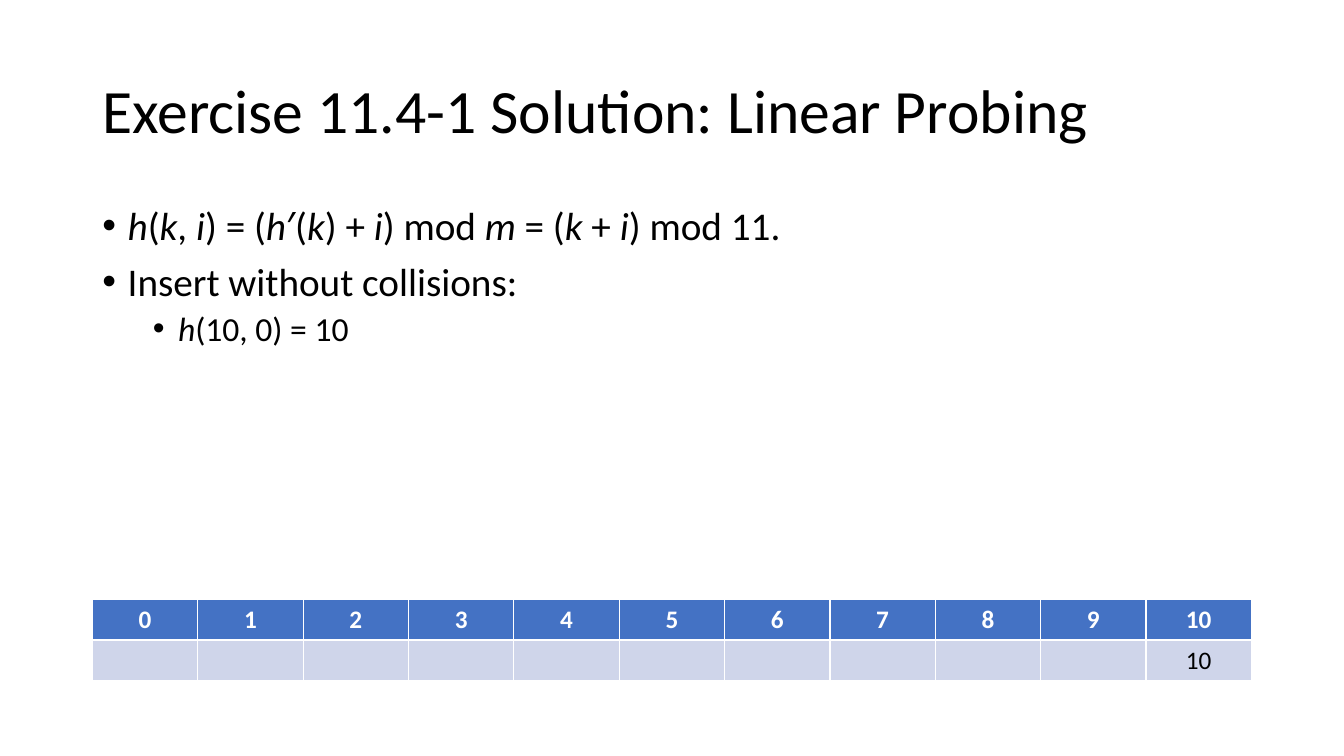
from lxml import etree
from pptx import Presentation
from pptx.dml.color import RGBColor as Rgb
from pptx.enum.text import MSO_ANCHOR as Anchor, MSO_AUTO_SIZE as Fit, PP_ALIGN as Align
from pptx.oxml.ns import qn
from pptx.util import Pt

LEFT, WIDTH = 66, 828
SLOTS = 11


def color(code):
    return Rgb.from_string(code)


def write(para, text, size=18, ink="000000", bold=False, font="Calibri",
          align=Align.LEFT, line=None, before=0):
    """Fill a paragraph; parts between asterisks become italic."""
    para.alignment = align
    para.line_spacing = line
    para.space_before = Pt(before)
    for i, part in enumerate(text.split("*")):
        if part:
            run = para.add_run()
            run.text = part
            style = run.font
            style.name, style.size = font, Pt(size)
            style.bold, style.italic = bold, i % 2 == 1
            style.color.rgb = color(ink)


def bullet(para, left, hang=18):
    """Add a round bullet with a hanging indent."""
    props = para._p.get_or_add_pPr()
    props.set("marL", str(Pt(left)))
    props.set("indent", str(-Pt(hang)))
    etree.SubElement(props, qn("a:buFont")).set("typeface", "Arial")
    etree.SubElement(props, qn("a:buChar")).set("char", "•")


class Deck:
    head, cell = "4472C4", "CFD5EA"
    sizes, gaps = (28, 24), (10, 5)

    def __init__(self):
        self.show = Presentation()
        self.show.slide_width, self.show.slide_height = Pt(960), Pt(540)
        self.slide = self.show.slides.add_slide(self.show.slide_layouts[1])

    def place(self, holder, top, height, anchor):
        """Move a placeholder and return its text frame."""
        holder.left, holder.top = Pt(LEFT), Pt(top)
        holder.width, holder.height = Pt(WIDTH), Pt(height)
        frame = holder.text_frame
        frame.word_wrap, frame.auto_size = True, Fit.NONE
        frame.vertical_anchor = anchor
        return frame

    def title(self, text):
        frame = self.place(self.slide.shapes.title, 28.75, 104.4, Anchor.MIDDLE)
        write(frame.paragraphs[0], text, size=44, line=0.9)

    def points(self, items):
        """Write the list from pairs of level and text."""
        frame = self.place(self.slide.placeholders[1], 143.75, 342.6, Anchor.TOP)
        for i, (level, text) in enumerate(items):
            para = frame.add_paragraph() if i else frame.paragraphs[0]
            para.level = level
            write(para, text, size=self.sizes[level], line=0.9,
                  before=self.gaps[level])
            bullet(para, 18 + 36 * level)

    def table(self, rows, top, height):
        """Draw a header row and plain rows in equal columns."""
        grid = self.slide.shapes.add_table(
            len(rows), len(rows[0]), Pt(LEFT), Pt(top),
            Pt(WIDTH), Pt(height * len(rows))).table
        for r, row in enumerate(rows):
            for c, text in enumerate(row):
                box = grid.cell(r, c)
                box.fill.solid()
                box.fill.fore_color.rgb = color(self.cell if r else self.head)
                write(box.text_frame.paragraphs[0], text, bold=r == 0,
                      ink="000000" if r else "FFFFFF", align=Align.CENTER)


def main():
    deck = Deck()
    deck.title("Exercise 11.4-1 Solution: Linear Probing")
    deck.points([
        (0, "*h*(*k*, *i*) = (*h*′(*k*) + *i*) mod *m* = (*k* + *i*) mod 11."),
        (0, "Insert without collisions:"),
        (1, "*h*(10, 0) = 10"),
    ])
    keys = {10: "10"}
    deck.table([[str(n) for n in range(SLOTS)],
                [keys.get(n, "") for n in range(SLOTS)]], top=428, height=29.2)
    deck.show.save("out.pptx")


if __name__ == "__main__":
    main()
